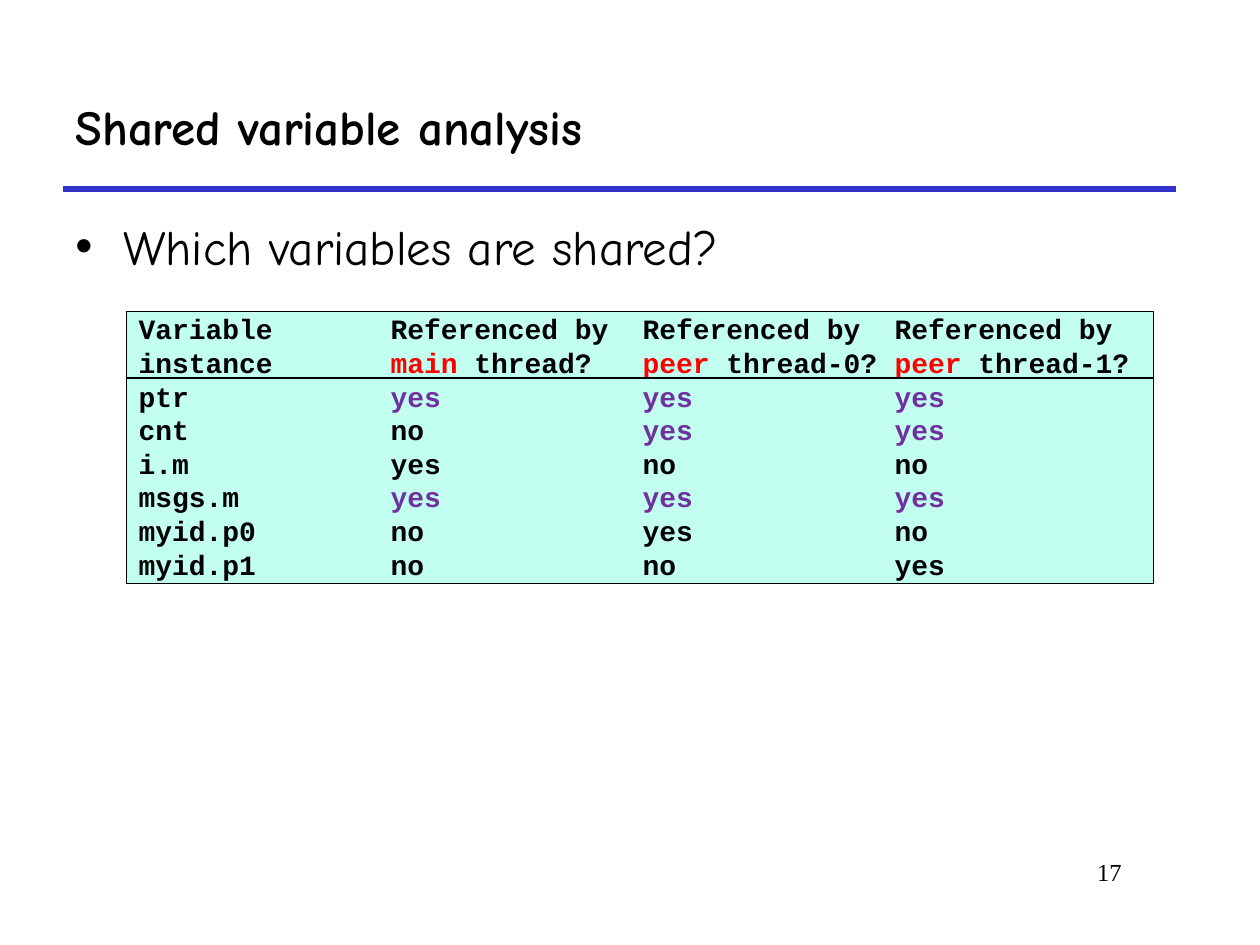
from dataclasses import dataclass

from lxml.etree import SubElement
from pptx import Presentation
from pptx.dml.color import RGBColor
from pptx.enum.shapes import MSO_CONNECTOR
from pptx.enum.text import MSO_ANCHOR, PP_ALIGN
from pptx.oxml.ns import qn
from pptx.util import Inches, Pt

BLACK = RGBColor(0x00, 0x00, 0x00)
RULE_BLUE = RGBColor(0x33, 0x33, 0xCC)
MINT = RGBColor(0xC2, 0xFF, 0xF0)
RED = RGBColor(0xFF, 0x00, 0x00)
PURPLE = RGBColor(0x70, 0x30, 0xA0)

HEADING_FONT, CODE_FONT, NUMBER_FONT = "Comic Neue", "Courier New", "Times New Roman"
LEFT, TOP, WIDTH, HEIGHT = 1, 2.47, 8.15, 2.15
COLUMN, HEADER_HEIGHT = 2, 0.56
HEADERS = [
    ("Variable", "", "instance"),
    ("Referenced by", "main", " thread?"),
    ("Referenced by", "peer", " thread-0?"),
    ("Referenced by", "peer", " thread-1?"),
]


@dataclass
class Variable:
    name: str
    references: tuple[str, str, str]
    shared: bool = False


VARIABLES = [
    Variable("ptr", ("yes", "yes", "yes"), shared=True),
    Variable("cnt", ("no", "yes", "yes"), shared=True),
    Variable("i.m", ("yes", "no", "no")),
    Variable("msgs.m", ("yes", "yes", "yes"), shared=True),
    Variable("myid.p0", ("no", "yes", "no")),
    Variable("myid.p1", ("no", "no", "yes")),
]


def set_font(paragraph, name: str, size: float, bold: bool = False, color: RGBColor = BLACK) -> None:
    font = paragraph.font
    font.name, font.size, font.bold = name, Pt(size), bold
    font.color.rgb = color


def add_rule(slide, left: float, right: float, y: float, color: RGBColor, width: float) -> None:
    rule = slide.shapes.add_connector(
        MSO_CONNECTOR.STRAIGHT, Inches(left), Inches(y), Inches(right), Inches(y)
    )
    rule.line.color.rgb, rule.line.width = color, Pt(width)
    SubElement(rule.element.spPr, qn("a:effectLst"))


def add_text(slide, left: float, top: float, width: float, height: float, text: str):
    frame = slide.shapes.add_textbox(
        Inches(left), Inches(top), Inches(width), Inches(height)
    ).text_frame
    frame.word_wrap = True
    paragraph = frame.paragraphs[0]
    paragraph.text = text
    return paragraph


def add_bullet(paragraph, indent: float) -> None:
    properties = paragraph._p.get_or_add_pPr()
    properties.set("marL", str(Inches(indent)))
    properties.set("indent", str(-Inches(indent)))
    SubElement(properties, qn("a:buFont"), typeface="Arial")
    SubElement(properties, qn("a:buChar"), char="•")


def set_borders(cell, visible: dict[str, bool]) -> None:
    properties = cell._tc.get_or_add_tcPr()
    for position, (side, shown) in enumerate(visible.items()):
        border = SubElement(properties, qn(f"a:{side}"), w=str(Pt(0.25 * shown)))
        properties.insert(position, border)
        if shown:
            fill = SubElement(border, qn("a:solidFill"))
            SubElement(fill, qn("a:srgbClr"), val=str(BLACK))
        else:
            SubElement(border, qn("a:noFill"))


def fill_header(cell, header: tuple[str, str, str]) -> None:
    first_line, keyword, rest = header
    frame = cell.text_frame
    frame.text = first_line
    second_line = frame.add_paragraph()
    if keyword:
        highlight = second_line.add_run()
        highlight.text = keyword
        highlight.font.color.rgb = RED
    second_line.add_run().text = rest
    for paragraph in frame.paragraphs:
        paragraph.line_spacing = Pt(19.2)
        set_font(paragraph, CODE_FONT, 16, bold=True)


def fill_value(cell, text: str, color: RGBColor) -> None:
    cell.text = text
    set_font(cell.text_frame.paragraphs[0], CODE_FONT, 16, bold=True, color=color)


def add_reference_table(slide) -> None:
    last_row, last_column = len(VARIABLES), len(HEADERS) - 1
    table = slide.shapes.add_table(
        last_row + 1, last_column + 1, Inches(LEFT), Inches(TOP), Inches(WIDTH), Inches(HEIGHT)
    ).table
    table.first_row = table.horz_banding = False
    for index, column in enumerate(table.columns):
        column.width = Inches(WIDTH - COLUMN * last_column if index == last_column else COLUMN)
    row_height = (HEIGHT - HEADER_HEIGHT) / len(VARIABLES)
    for index, row in enumerate(table.rows):
        row.height = Inches(row_height if index else HEADER_HEIGHT)
        for position, cell in enumerate(row.cells):
            cell.margin_left = Inches(0.1)
            cell.margin_right = cell.margin_top = cell.margin_bottom = 0
            cell.vertical_anchor = MSO_ANCHOR.BOTTOM
            cell.fill.solid()
            cell.fill.fore_color.rgb = MINT
            set_borders(cell, {
                "lnL": position == 0,
                "lnR": position == last_column,
                "lnT": index == 0,
                "lnB": index == last_row,
            })
            if index == 0:
                fill_header(cell, HEADERS[position])
                continue
            variable = VARIABLES[index - 1]
            text = (variable.name, *variable.references)[position]
            marked = variable.shared and position and text == "yes"
            fill_value(cell, text, PURPLE if marked else BLACK)


def main() -> None:
    deck = Presentation()
    deck.slide_width, deck.slide_height = Inches(10), Inches(7.5)
    slide = deck.slides.add_slide(deck.slide_layouts[5])

    title = slide.shapes.title
    title.left, title.top, title.width, title.height = map(Inches, (0.5, 0.5, 8.83, 1))
    title.text_frame.text = "Shared variable analysis"
    title.text_frame.vertical_anchor = MSO_ANCHOR.MIDDLE
    heading = title.text_frame.paragraphs[0]
    heading.alignment = PP_ALIGN.LEFT
    set_font(heading, HEADING_FONT, 28, bold=True)
    add_rule(slide, 0.5, 9.33, 1.5, RULE_BLUE, 3)

    question = add_text(slide, 0.5, 1.67, 8.92, 0.83, "Which variables are shared?")
    add_bullet(question, 0.38)
    set_font(question, HEADING_FONT, 28)

    add_reference_table(slide)
    add_rule(slide, LEFT, LEFT + WIDTH, 3, BLACK, 0.75)

    number = add_text(slide, 7.58, 6.75, 1.42, 0.5, "17")
    number.alignment = PP_ALIGN.RIGHT
    set_font(number, NUMBER_FONT, 14)

    deck.save("out.pptx")


if __name__ == "__main__":
    main()
